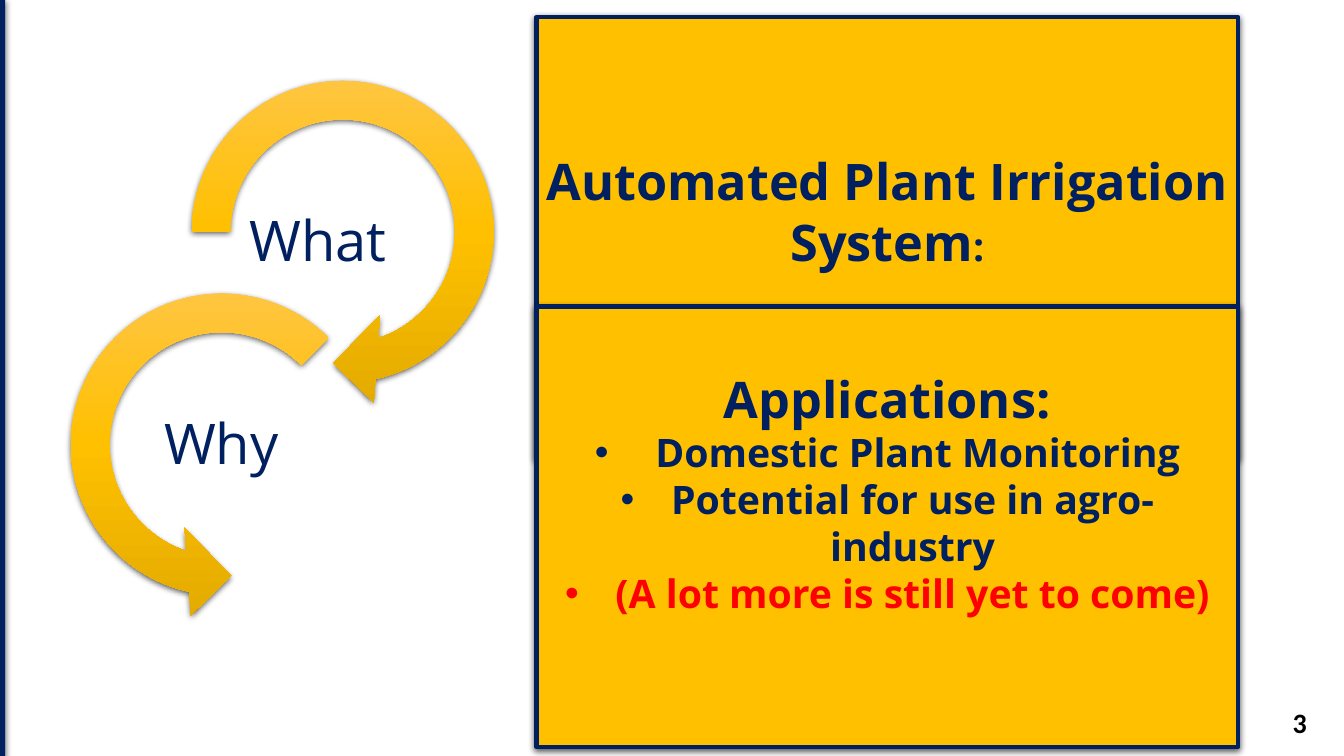
from dataclasses import dataclass

from pptx import Presentation
from pptx.dml.color import RGBColor
from pptx.enum.shapes import MSO_SHAPE
from pptx.enum.text import MSO_ANCHOR, MSO_AUTO_SIZE, PP_ALIGN
from pptx.oxml import parse_xml
from pptx.oxml.ns import nsdecls
from pptx.util import Inches, Pt


@dataclass(frozen=True)
class Theme:
    navy: str = "002060"
    gold: str = "FFC000"
    red: str = "FF0000"
    black: str = "000000"
    gradient: tuple = ((0, "FFC64B"), (50, "FFC000"), (100, "E3AB00"))
    font: str = "Open Sans"
    number_font: str = "Calibri"
    label: int = 40
    heading: int = 36
    item: int = 28
    number: int = 20


THEME = Theme()

# Content
TITLE = [("Automated Plant Irrigation System", THEME.heading), (":", THEME.item)]
APPLICATIONS_HEADING = "Applications:"
APPLICATIONS = [
    (" Domestic Plant Monitoring", THEME.navy),
    ("Potential for use in agro-industry", THEME.navy),
    ("(A lot more is still yet to come)", THEME.red),
]
PAGE_NUMBER = "3"

# Steps: label, label position, arrow shape, arrow position, arrow adjustments
STEPS = [
    ("What", (2.19, 1.93), MSO_SHAPE.CIRCULAR_ARROW, (1.66, 0.56),
     (0.11, 11.423, 45, 108, 0.125)),
    ("Why", (1.23, 3.94), MSO_SHAPE.LEFT_CIRCULAR_ARROW, (0.46, 2.67),
     (0.11, 11.423, 63, 189, 0.125)),
]
ARROW_SIZE = (3.48, 3.48)
LABEL_SIZE = (1.93, 0.97)
PANEL_LEFT, PANEL_SIZE = 5.32, (6.96, 4.37)
PANEL_INSET = 0.08


def box(position, size):
    return [Inches(v) for v in (*position, *size)]


def place(shape, position, size):
    shape.left, shape.top, shape.width, shape.height = box(position, size)


def fill_solid(shape, color):
    shape.fill.solid()
    shape.fill.fore_color.rgb = RGBColor.from_string(color)


def fill_gradient(shape):
    shape.fill.background()
    stops = "".join(f'<a:gs pos="{pos * 1000}"><a:srgbClr val="{color}"/></a:gs>'
                    for pos, color in THEME.gradient)
    gradient = parse_xml(f'<a:gradFill {nsdecls("a")}><a:gsLst>{stops}</a:gsLst>'
                         '<a:lin ang="5400000" scaled="0"/></a:gradFill>')
    properties = shape.element.spPr
    properties.replace(properties.find("{*}noFill"), gradient)


def add_shadow(shape):
    shape.shadow.inherit = False
    shape.element.spPr.find("{*}effectLst").append(parse_xml(
        f'<a:outerShdw {nsdecls("a")} blurRad="{Pt(4.5)}" dist="{Pt(1.5)}" '
        'dir="5400000" rotWithShape="0"><a:srgbClr val="000000">'
        '<a:alpha val="63000"/></a:srgbClr></a:outerShdw>'))


def set_frame(shape, inset, bottom=None):
    frame = shape.text_frame
    frame.word_wrap = True
    frame.auto_size = MSO_AUTO_SIZE.NONE
    frame.vertical_anchor = MSO_ANCHOR.MIDDLE
    frame.margin_left = frame.margin_right = frame.margin_top = Inches(inset)
    frame.margin_bottom = Inches(inset if bottom is None else bottom)
    return frame


def write(paragraph, text, size, color=THEME.navy, bold=True, font=THEME.font,
          align=PP_ALIGN.CENTER, spacing=1.0):
    paragraph.alignment = align
    paragraph.line_spacing = spacing
    paragraph.space_before = paragraph.space_after = Pt(0)
    run = paragraph.add_run()
    run.text = text
    run.font.name, run.font.size, run.font.bold = font, Pt(size), bold
    run.font.color.rgb = RGBColor.from_string(color)


def set_bullet(paragraph, char=None, indent=0.0):
    properties = paragraph._p.get_or_add_pPr()
    properties.set("marL", str(Inches(indent)))
    properties.set("indent", str(-Inches(indent)))
    if char is None:
        properties.append(parse_xml(f'<a:buNone {nsdecls("a")}/>'))
        return
    properties.append(parse_xml(f'<a:buFont {nsdecls("a")} typeface="Arial"/>'))
    properties.append(parse_xml(f'<a:buChar {nsdecls("a")} char="{char}"/>'))


def format_panel(shape, top, space_below):
    place(shape, (PANEL_LEFT, top), PANEL_SIZE)
    fill_solid(shape, THEME.gold)
    shape.line.color.rgb = RGBColor.from_string(THEME.navy)
    shape.line.width = Pt(3)
    add_shadow(shape)
    return set_frame(shape, PANEL_INSET, PANEL_INSET + space_below)


prs = Presentation()
prs.slide_width, prs.slide_height = Inches(13.33), Inches(7.5)
slide = prs.slides.add_slide(prs.slide_layouts[1])
shapes = slide.shapes

# Title panel, then the applications panel overlapping its lower part
title_frame = format_panel(shapes.title, top=0.17, space_below=0.53)
for text, size in TITLE:
    write(title_frame.paragraphs[0], text, size)

list_frame = format_panel(slide.placeholders[1], top=3.04, space_below=0.68)
heading = list_frame.paragraphs[0]
write(heading, APPLICATIONS_HEADING, THEME.heading)
set_bullet(heading)
for text, color in APPLICATIONS:
    item = list_frame.add_paragraph()
    write(item, text, THEME.item, color)
    set_bullet(item, "•", 0.5)

# Edge bar
bar = shapes.add_shape(MSO_SHAPE.RECTANGLE, *box((0, 0), (0.05, 7.5)))
fill_solid(bar, THEME.navy)
bar.line.fill.background()
add_shadow(bar)

# Circular arrows with their labels
for label, label_at, kind, arrow_at, adjustments in STEPS:
    arrow = shapes.add_shape(kind, *box(arrow_at, ARROW_SIZE))
    for index, value in enumerate(adjustments):
        arrow.adjustments[index] = value
    fill_gradient(arrow)
    arrow.line.fill.background()
    add_shadow(arrow)
    label_box = shapes.add_textbox(*box(label_at, LABEL_SIZE))
    write(set_frame(label_box, 0.03).paragraphs[0], label, THEME.label,
          bold=False, spacing=0.9)

# Page number
number_box = shapes.add_textbox(*box((10.06, 6.94), (3, 0.4)))
write(set_frame(number_box, 0.1, 0.05).paragraphs[0], PAGE_NUMBER, THEME.number,
      THEME.black, font=THEME.number_font, align=PP_ALIGN.RIGHT)

prs.save("out.pptx")
